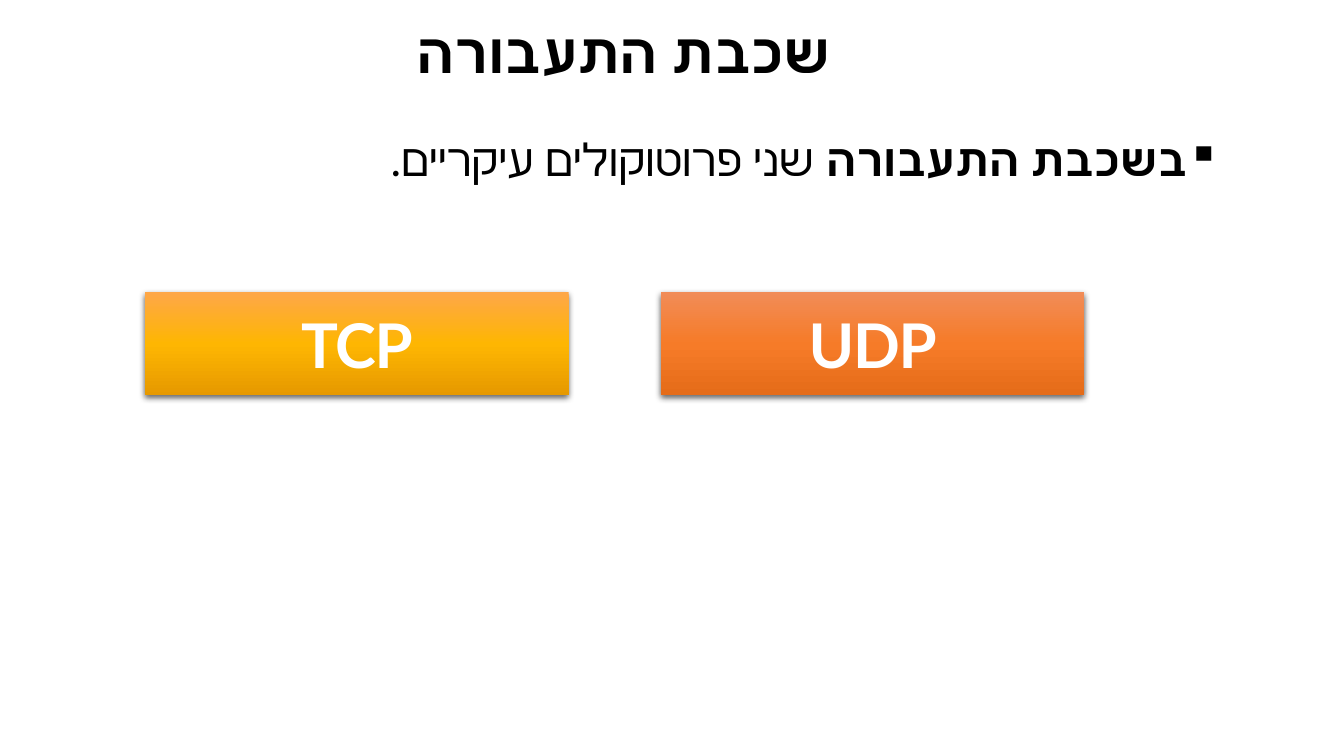
"""Build the transport layer slide with its two protocol boxes."""
from dataclasses import dataclass

from lxml.etree import SubElement
from pptx import Presentation
from pptx.dml.color import RGBColor
from pptx.enum.shapes import MSO_SHAPE
from pptx.enum.text import MSO_ANCHOR, PP_ALIGN
from pptx.oxml.ns import qn
from pptx.util import Cm, Pt

BLACK = RGBColor(0x00, 0x00, 0x00)
WHITE = RGBColor(0xFF, 0xFF, 0xFF)
ORANGES = (RGBColor(0xF1, 0x8C, 0x57), RGBColor(0xF6, 0x7B, 0x28), RGBColor(0xE5, 0x6C, 0x19))
AMBERS = (RGBColor(0xFE, 0xA7, 0x48), RGBColor(0xFE, 0xB6, 0x02), RGBColor(0xE6, 0x99, 0x00))
FONT = "Lato"


@dataclass(frozen=True)
class Protocol:
    name: str
    left: float
    colors: tuple[RGBColor, ...]


PROTOCOLS = (
    Protocol("UDP", 16.66, ORANGES),
    Protocol("TCP", 3.66, AMBERS),
)


def add(parent, tag: str, **attrs: str):
    return SubElement(parent, qn(tag), attrs)


def style_run(r, size: float, color: RGBColor, bold: bool = True) -> None:
    r.font.name = FONT
    r.font.size = Pt(size)
    r.font.bold = bold
    r.font.color.rgb = color
    add(r.font._element, "a:cs", typeface=FONT)


def set_rtl(p, align: PP_ALIGN) -> None:
    p.alignment = align
    p._p.get_or_add_pPr().set("rtl", "1")


def add_text_box(s, top: float, height: float, anchor: MSO_ANCHOR):
    tf = s.shapes.add_textbox(Cm(0.43), Cm(top), Cm(30.58), Cm(height)).text_frame
    tf.word_wrap = True
    tf.vertical_anchor = anchor
    return tf.paragraphs[0]


def add_title(s) -> None:
    p = add_text_box(s, 0.1, 2.59, MSO_ANCHOR.MIDDLE)
    p.text = "שכבת התעבורה"
    set_rtl(p, PP_ALIGN.CENTER)
    p.line_spacing = 0.9
    style_run(p.runs[0], 40, BLACK)


def add_body(s) -> None:
    p = add_text_box(s, 3.2, 15.47, MSO_ANCHOR.TOP)
    set_rtl(p, PP_ALIGN.RIGHT)
    pPr = p._p.get_or_add_pPr()
    pPr.set("marR", "0")
    pPr.set("marL", str(Cm(0.81)))
    pPr.set("indent", str(-Cm(0.81)))
    add(pPr, "a:buChar", char="▪")
    for text, bold in (("בשכבת התעבורה", True), (" שני פרוטוקולים עיקריים.", False)):
        r = p.add_run()
        r.text = text
        style_run(r, 32, BLACK, bold)


def fill_gradient(sp, colors: tuple[RGBColor, ...]) -> None:
    sp.fill.gradient()
    grad = sp._element.spPr.find(qn("a:gradFill"))
    for child in list(grad):
        grad.remove(child)
    stops = add(grad, "a:gsLst")
    for i, color in enumerate(colors):
        stop = add(stops, "a:gs", pos=str(i * 50000))
        add(stop, "a:srgbClr", val=str(color))
    add(grad, "a:lin", ang="5400000", scaled="0")


def add_shadow(sp) -> None:
    sp.shadow.inherit = False
    effects = sp._element.spPr.find(qn("a:effectLst"))
    shadow = add(effects, "a:outerShdw", blurRad=str(Pt(4.5)), dist=str(Pt(1.5)),
                 dir="5400000", algn="ctr", rotWithShape="0")
    add(add(shadow, "a:srgbClr", val=str(BLACK)), "a:alpha", val="63000")


def add_protocol(s, protocol: Protocol) -> None:
    sp = s.shapes.add_shape(MSO_SHAPE.RECTANGLE, Cm(protocol.left), Cm(7.37), Cm(10.67), Cm(2.59))
    fill_gradient(sp, protocol.colors)
    sp.line.fill.background()
    add_shadow(sp)
    tf = sp.text_frame
    tf.text = protocol.name
    tf.vertical_anchor = MSO_ANCHOR.MIDDLE
    p = tf.paragraphs[0]
    set_rtl(p, PP_ALIGN.CENTER)
    style_run(p.runs[0], 44, WHITE)
    p.runs[0].font._element.set("spc", "-100")


def main() -> None:
    prs = Presentation()
    prs.slide_width, prs.slide_height = Cm(33.87), Cm(19.05)
    s = prs.slides.add_slide(prs.slide_layouts[6])
    add_title(s)
    add_body(s)
    for protocol in PROTOCOLS:
        add_protocol(s, protocol)
    prs.save("out.pptx")


if __name__ == "__main__":
    main()
